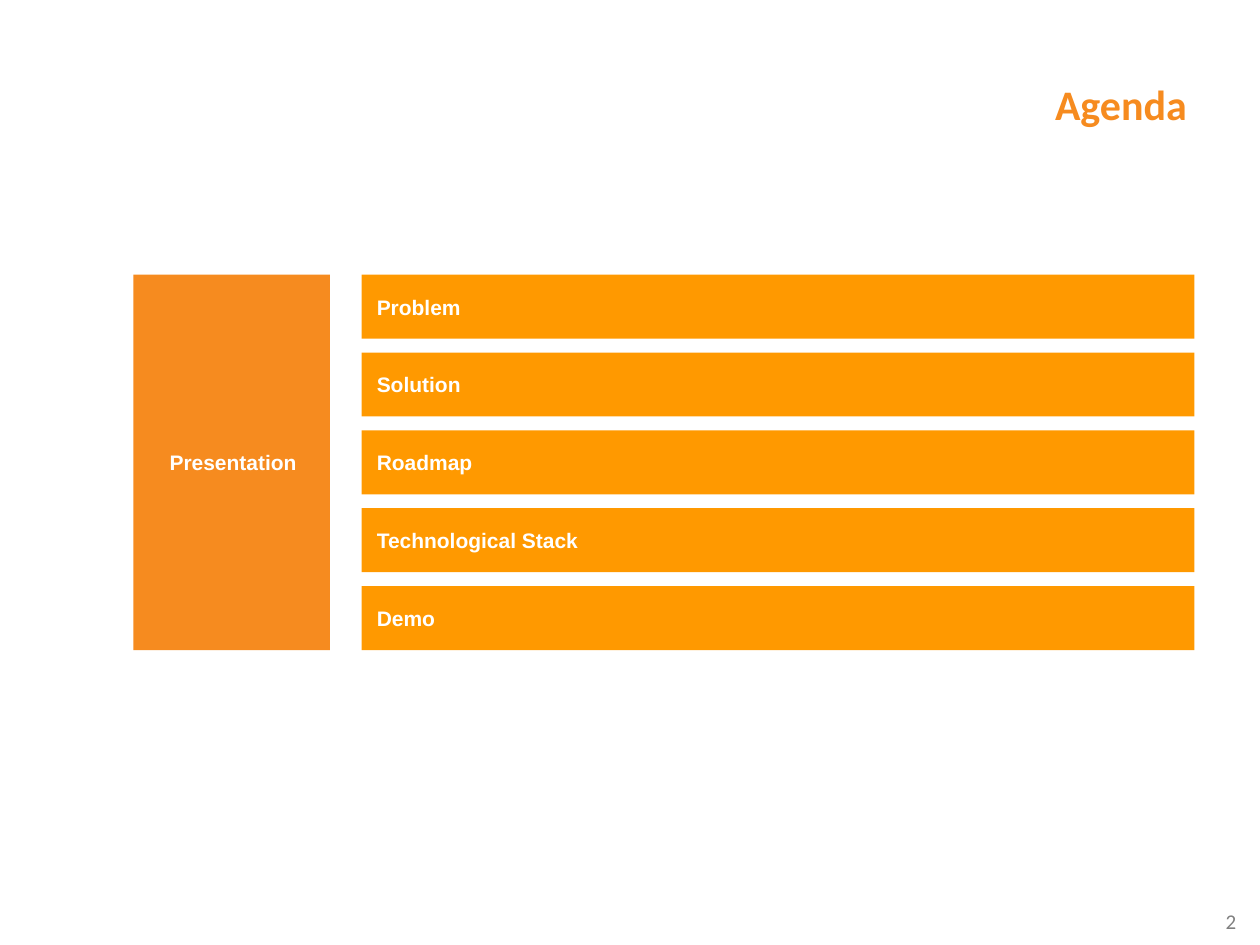
from dataclasses import dataclass
from pptx import Presentation
from pptx.dml.color import RGBColor
from pptx.enum.shapes import MSO_SHAPE
from pptx.enum.text import MSO_ANCHOR, PP_ALIGN
from pptx.util import Inches, Pt

RECT = MSO_SHAPE.RECTANGLE
LEFT, CENTER, RIGHT = PP_ALIGN.LEFT, PP_ALIGN.CENTER, PP_ALIGN.RIGHT
TOP, MIDDLE, BOTTOM = MSO_ANCHOR.TOP, MSO_ANCHOR.MIDDLE, MSO_ANCHOR.BOTTOM


@dataclass(frozen=True)
class Theme:
    accent: str = "F68B1F"
    bar: str = "FF9900"
    white: str = "FFFFFF"
    gray: str = "808080"
    head: str = "Calibri"
    body: str = "Arial"
    large: int = 24
    small: int = 12


THEME = Theme()
TOPICS = ["Problem", "Solution", "Roadmap", "Technological Stack", "Demo"]


def place(shape, box):
    shape.left, shape.top, shape.width, shape.height = map(Inches, box)


def write(shape, text, face, size, color, align, anchor, bold=True):
    frame = shape.text_frame
    frame.word_wrap = True
    frame.vertical_anchor = anchor
    frame.text = text
    para = frame.paragraphs[0]
    para.alignment = align
    para.font.name = face
    para.font.size = Pt(size)
    para.font.bold = bold
    para.font.color.rgb = RGBColor.from_string(color)
    return para


def add_title(slide, box, text):
    title = slide.shapes.title
    place(title, box)
    para = write(title, text, THEME.head, THEME.large, THEME.accent, RIGHT, BOTTOM)
    para.line_spacing = Pt(29)


def add_block(slide, box, text, fill, align):
    block = slide.shapes.add_shape(RECT, *map(Inches, box))
    block.shadow.inherit = False
    block.fill.solid()
    block.fill.fore_color.rgb = RGBColor.from_string(fill)
    block.line.fill.background()
    block.text_frame.margin_left = Inches(0.12)
    write(block, text, THEME.body, THEME.small, THEME.white, align, MIDDLE)


def add_agenda(slide, box, label, topics):
    left, top, width, height = box
    side, gutter, gap = 1.56, 0.25, 0.11
    add_block(slide, (left, top, side, height), label, THEME.accent, CENTER)
    start = left + side + gutter
    row = (height - gap * (len(topics) - 1)) / len(topics)
    for i, topic in enumerate(topics):
        spot = (start, top + i * (row + gap), left + width - start, row)
        add_block(slide, spot, topic, THEME.bar, LEFT)


def add_number(slide, box, text):
    note = slide.shapes.add_textbox(*map(Inches, box))
    write(note, text, THEME.head, THEME.small, THEME.gray, RIGHT, TOP, False)


deck = Presentation()
deck.slide_width, deck.slide_height = Inches(10), Inches(7.5)
slide = deck.slides.add_slide(deck.slide_layouts[5])
add_title(slide, (3.35, 0, 6.17, 1.07), "Agenda")
add_agenda(slide, (1.06, 2.18, 8.42, 2.98), "Presentation", TOPICS)
add_number(slide, (7.58, 7.16, 2.33, 0.37), "2")
deck.save("out.pptx")
